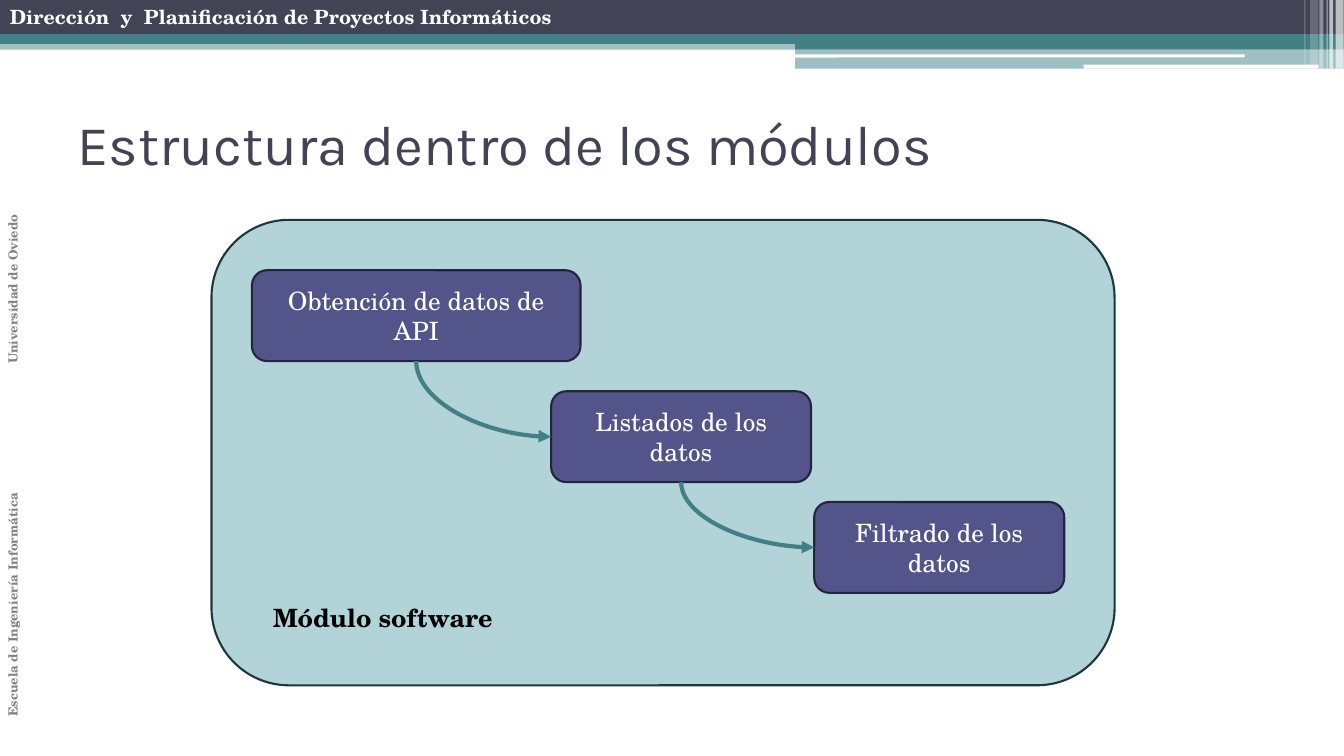
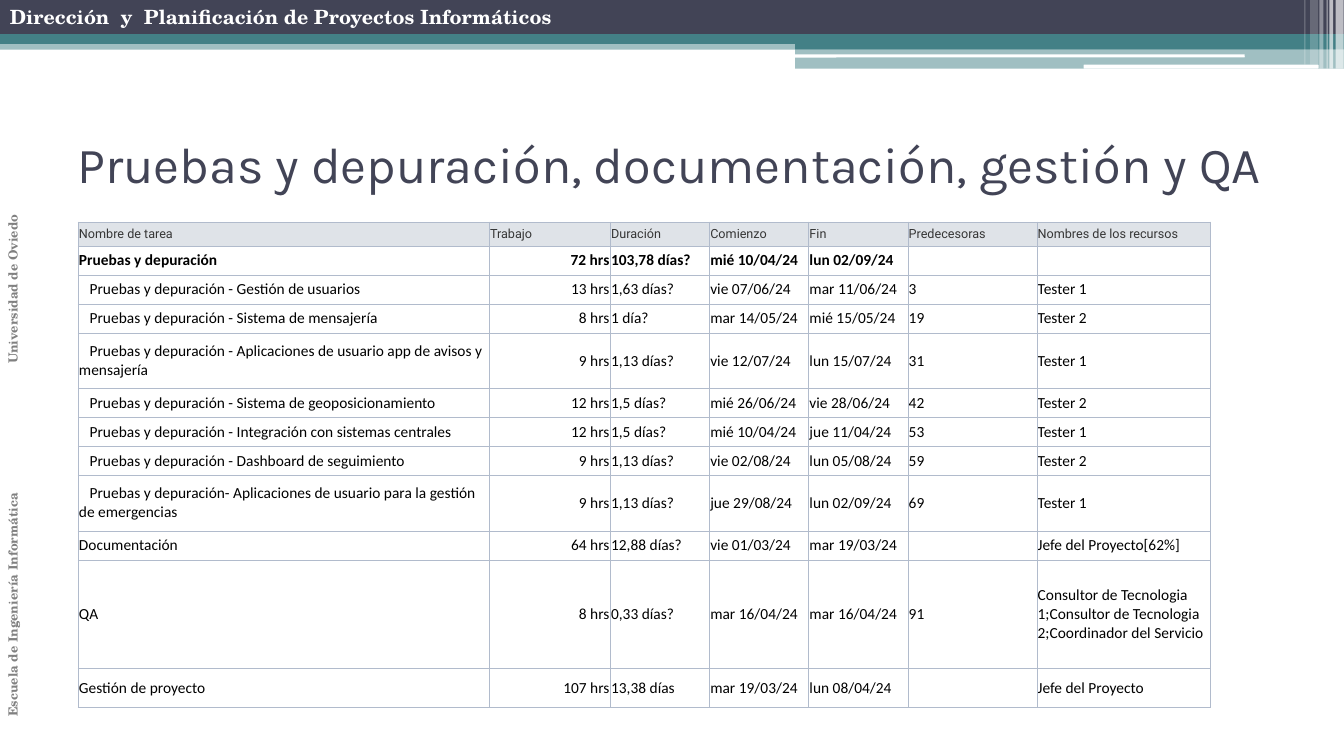
from pptx import Presentation
from pptx.dml.color import RGBColor
from pptx.enum.shapes import MSO_CONNECTOR as CONN, MSO_SHAPE as SHAPE
from pptx.enum.text import MSO_ANCHOR as ANCHOR, PP_ALIGN as ALIGN
from pptx.oxml.ns import qn
from pptx.util import Cm, Pt
from lxml.etree import SubElement

# Shared look
NAVY, TEAL, WHITE, BLACK = "424456", "438086", "FFFFFF", "000000"
SERIF = "TeX Gyre Schola"
FONTS = {
    "course": dict(name=SERIF, size=Pt(14), bold=True, color=WHITE),
    "school": dict(name=SERIF, size=Pt(9), bold=True, color="808080"),
    "title": dict(name="Karla", size=Pt(40), color=NAVY),
    "long title": dict(name="Karla", size=Pt(36), color=NAVY),
    "module": dict(name=SERIF, size=Pt(18), bold=True, color=BLACK),
    "step": dict(name=SERIF, size=Pt(18), color=WHITE),
    "head": dict(name="Roboto", size=Pt(9), color="363636"),
    "total": dict(name="Calibri", size=Pt(11), bold=True, color=BLACK),
    "task": dict(name="Calibri", size=Pt(11), color=BLACK),
}
FONTS["subtask"] = FONTS["task"]

WIDTH, HEIGHT = 33.87, 19.05
HALF = 20.04  # left edge of the right-hand bands
# left, top, width, height, colour, opacity %
BANDS = [
    (0, 1.02, WIDTH, 0.23, TEAL, 50),
    (0, 0, WIDTH, 0.86, NAVY, 100),
    (0, 0.86, WIDTH, 0.25, TEAL, 100),
    (HALF, 0.99, WIDTH - HALF, 0.25, TEAL, 100),
    (HALF, 1.22, WIDTH - HALF, 0.51, TEAL, 50),
]
SLOTS = [(20.02, 1.37, 11.35, 0.08), (27.31, 1.63, 5.92, 0.1)]
# left, width, height, opacity %
STRIPES = [
    (33.66, 0.2, 1.73, 65), (33.5, 0.1, 1.73, 65), (33.43, 0.03, 1.73, 60),
    (33.25, 0.1, 1.73, 40), (33.02, 0.2, 1.63, 20), (32.87, 0.03, 1.63, 30),
]
COURSE = "Dirección  y  Planificación de Proyectos Informáticos"
SCHOOL = "Escuela de Ingeniería Informática\t\t\tUniversidad de Oviedo"

# Slide 1: module and its steps (text, left, top, width)
MODULE = ("Módulo software", (5.33, 5.54, 22.76, 11.73))
STEP_H = 2.29
STEPS = [
    ("Obtención de datos de API", 6.35, 6.81, 8.28),
    ("Listados de los datos", 13.89, 9.86, 6.55),
    ("Filtrado de los datos", 20.52, 12.65, 6.3),
]

# Slide 2: task tables (style, row height, cells)
COLS = [10.36, 3.05, 2.5, 2.5, 2.5, 3.25, 4.36]
TABLE_LEFT, TABLE_TOP = 1.97, 5.59
LOW, TALL = 0.73, 1.4
TASKS = [
    ("head", 0.61, ("Nombre de tarea", "Trabajo", "Duración", "Comienzo", "Fin",
                    "Predecesoras", "Nombres de los recursos")),
    ("total", LOW, ("Pruebas y depuración", "72 hrs", "103,78 días?",
                    "mié 10/04/24", "lun 02/09/24", "", "")),
    ("subtask", LOW, ("Pruebas y depuración - Gestión de usuarios", "13 hrs",
                      "1,63 días?", "vie 07/06/24", "mar 11/06/24", "3", "Tester 1")),
    ("subtask", LOW, ("Pruebas y depuración - Sistema de mensajería", "8 hrs",
                      "1 día?", "mar 14/05/24", "mié 15/05/24", "19", "Tester 2")),
    ("subtask", TALL, ("Pruebas y depuración - Aplicaciones de usuario app de avisos y mensajería",
                       "9 hrs", "1,13 días?", "vie 12/07/24", "lun 15/07/24", "31", "Tester 1")),
    ("subtask", LOW, ("Pruebas y depuración - Sistema de geoposicionamiento", "12 hrs",
                      "1,5 días?", "mié 26/06/24", "vie 28/06/24", "42", "Tester 2")),
    ("subtask", LOW, ("Pruebas y depuración - Integración con sistemas centrales", "12 hrs",
                      "1,5 días?", "mié 10/04/24", "jue 11/04/24", "53", "Tester 1")),
    ("subtask", LOW, ("Pruebas y depuración - Dashboard de seguimiento", "9 hrs",
                      "1,13 días?", "vie 02/08/24", "lun 05/08/24", "59", "Tester 2")),
    ("subtask", TALL, ("Pruebas y depuración- Aplicaciones de usuario para la gestión de emergencias",
                       "9 hrs", "1,13 días?", "jue 29/08/24", "lun 02/09/24", "69", "Tester 1")),
    ("task", LOW, ("Documentación", "64 hrs", "12,88 días?", "vie 01/03/24",
                   "mar 19/03/24", "", "Jefe del Proyecto[62%]")),
    ("task", 2.74, ("QA", "8 hrs", "0,33 días?", "mar 16/04/24", "mar 16/04/24", "91",
                    "Consultor de Tecnologia 1;Consultor de Tecnologia 2;Coordinador del Servicio")),
]
MANAGEMENT = [
    ("task", 0.97, ("Gestión de proyecto", "107 hrs", "13,38 días", "mar 19/03/24",
                    "lun 08/04/24", "", "Jefe del Proyecto")),
]


def rgb(color):
    return RGBColor.from_string(color)


def cms(*values):
    return [Cm(v) for v in values]


def set_all(obj, values):
    for key, value in values.items():
        setattr(obj, key, value)


def write(tf, text, style, align=ALIGN.LEFT, **frame):
    """Put one styled paragraph in a text frame."""
    set_all(tf, dict(word_wrap=True) | frame)
    p = tf.paragraphs[0]
    p.alignment = align
    font = dict(FONTS[style])
    if text:
        r = p.add_run()
        r.text = text
        r.font.color.rgb = rgb(font.pop("color"))
        set_all(r.font, font)
    else:
        p._p.get_or_add_endParaRPr().set("sz", str(int(font["size"].pt * 100)))
    return p


def add_shape(s, box, fill, opacity=100, line=None, kind=SHAPE.RECTANGLE):
    sp = s.shapes.add_shape(kind, *cms(*box))
    sp.shadow.inherit = False
    sp.fill.solid()
    sp.fill.fore_color.rgb = rgb(fill)
    if opacity < 100:
        clr = sp._element.spPr.find(".//" + qn("a:srgbClr"))
        SubElement(clr, qn("a:alpha"), val=str(opacity * 1000))
    if line:
        sp.line.color.rgb = rgb(line)
        sp.line.width = Pt(1.5)
    else:
        sp.line.fill.background()
    return sp


def add_text(s, box, text, style, **frame):
    sp = s.shapes.add_textbox(*cms(*box))
    write(sp.text_frame, text, style, **frame)
    return sp


def add_slide(prs, title, style, top):
    s = prs.slides.add_slide(prs.slide_layouts[6])
    # Bands, slots and stripes at the top
    for *box, color, opacity in BANDS:
        add_shape(s, box, color, opacity)
    for box in SLOTS:
        add_shape(s, box, WHITE, kind=SHAPE.ROUNDED_RECTANGLE)
    for left, width, height, opacity in STRIPES:
        add_shape(s, (left, 0, width, height), WHITE, opacity)
    # Course, school and title
    add_text(s, (0, 0, 20.93, 0.86), COURSE, "course")
    school = add_text(s, (0, 1.37, 0.89, 16.94), SCHOOL, "school")
    school.text_frame._txBody.bodyPr.set("vert", "vert270")
    add_text(s, (1.7, top, 30.48, 2.97), title, style, vertical_anchor=ANCHOR.MIDDLE)
    return s


def add_arrow(s, source, target):
    """Curve from the bottom of one step to the left side of the next."""
    c = s.shapes.add_connector(CONN.CURVE, 0, 0, 0, 0)
    c.begin_connect(source, 2)
    c.end_connect(target, 1)
    c.line.color.rgb = rgb(TEAL)
    c.line.width = Pt(3)
    SubElement(c.line._get_or_add_ln(), qn("a:tailEnd"), type="triangle")
    spPr = c._element.spPr
    SubElement(spPr, qn("a:effectLst"))
    # A quarter curve that leaves downwards: the box is turned by 270 degrees
    spPr.find(qn("a:prstGeom")).set("prst", "curvedConnector2")
    dx, dy = c.width, c.height
    set_all(c, dict(left=c.left + (dx - dy) // 2, top=c.top + (dy - dx) // 2,
                    width=dy, height=dx))
    xfrm = spPr.find(qn("a:xfrm"))
    xfrm.set("rot", "16200000")
    xfrm.set("flipH", "1")


def add_borders(cell):
    tcPr = cell._tc.get_or_add_tcPr()
    for side in ("lnL", "lnR", "lnT", "lnB"):
        ln = SubElement(tcPr, qn("a:" + side), w=str(Pt(0.5)))
        SubElement(SubElement(ln, qn("a:solidFill")), qn("a:srgbClr"), val="B1BBCC")


def add_tasks(s, top, rows):
    """Draw a task table and return its bottom edge."""
    height = sum(h for _, h, _ in rows)
    box = cms(TABLE_LEFT, top, sum(COLS), height)
    table = s.shapes.add_table(len(rows), len(COLS), *box).table
    set_all(table, dict(first_row=False, horz_banding=False))
    for col, width in zip(table.columns, COLS):
        col.width = Cm(width)
    margins = {f"margin_{side}": Cm(0.02) for side in ("left", "right", "top", "bottom")}
    for row, (style, row_h, texts) in zip(table.rows, rows):
        row.height = Cm(row_h)
        for i, (cell, text) in enumerate(zip(row.cells, texts)):
            add_borders(cell)
            cell.fill.solid()
            cell.fill.fore_color.rgb = rgb("DFE3E8" if style == "head" else WHITE)
            set_all(cell, margins | dict(vertical_anchor=ANCHOR.MIDDLE))
            is_work = i == 1 and style != "head"
            p = write(cell.text_frame, text, style, ALIGN.RIGHT if is_work else ALIGN.LEFT)
            if style == "subtask" and i == 0:
                p._p.get_or_add_pPr().set("indent", str(Cm(0.27)))
    return top + height


def main():
    prs = Presentation()
    prs.slide_width, prs.slide_height = cms(WIDTH, HEIGHT)

    # Slide 1: steps inside a module
    s = add_slide(prs, "Estructura dentro de los módulos", "title", 2.13)
    text, box = MODULE
    module = add_shape(s, box, "B2D4D8", line="1D383B", kind=SHAPE.ROUNDED_RECTANGLE)
    write(module.text_frame, text, "module", vertical_anchor=ANCHOR.BOTTOM,
          margin_left=Cm(0.98), margin_bottom=Cm(0.75))
    steps = []
    for text, left, top, width in STEPS:
        sp = add_shape(s, (left, top, width, STEP_H), "53548A", line="24253C",
                       kind=SHAPE.ROUNDED_RECTANGLE)
        write(sp.text_frame, text, "step", ALIGN.CENTER, vertical_anchor=ANCHOR.MIDDLE)
        steps.append(sp)
    for source, target in zip(steps, steps[1:]):
        add_arrow(s, source, target)

    # Slide 2: task tables, one right below the other
    s = add_slide(prs, "Pruebas y depuración, documentación, gestión y QA", "long title", 2.62)
    bottom = add_tasks(s, TABLE_TOP, TASKS)
    add_tasks(s, bottom, MANAGEMENT)

    prs.save("out.pptx")


if __name__ == "__main__":
    main()
